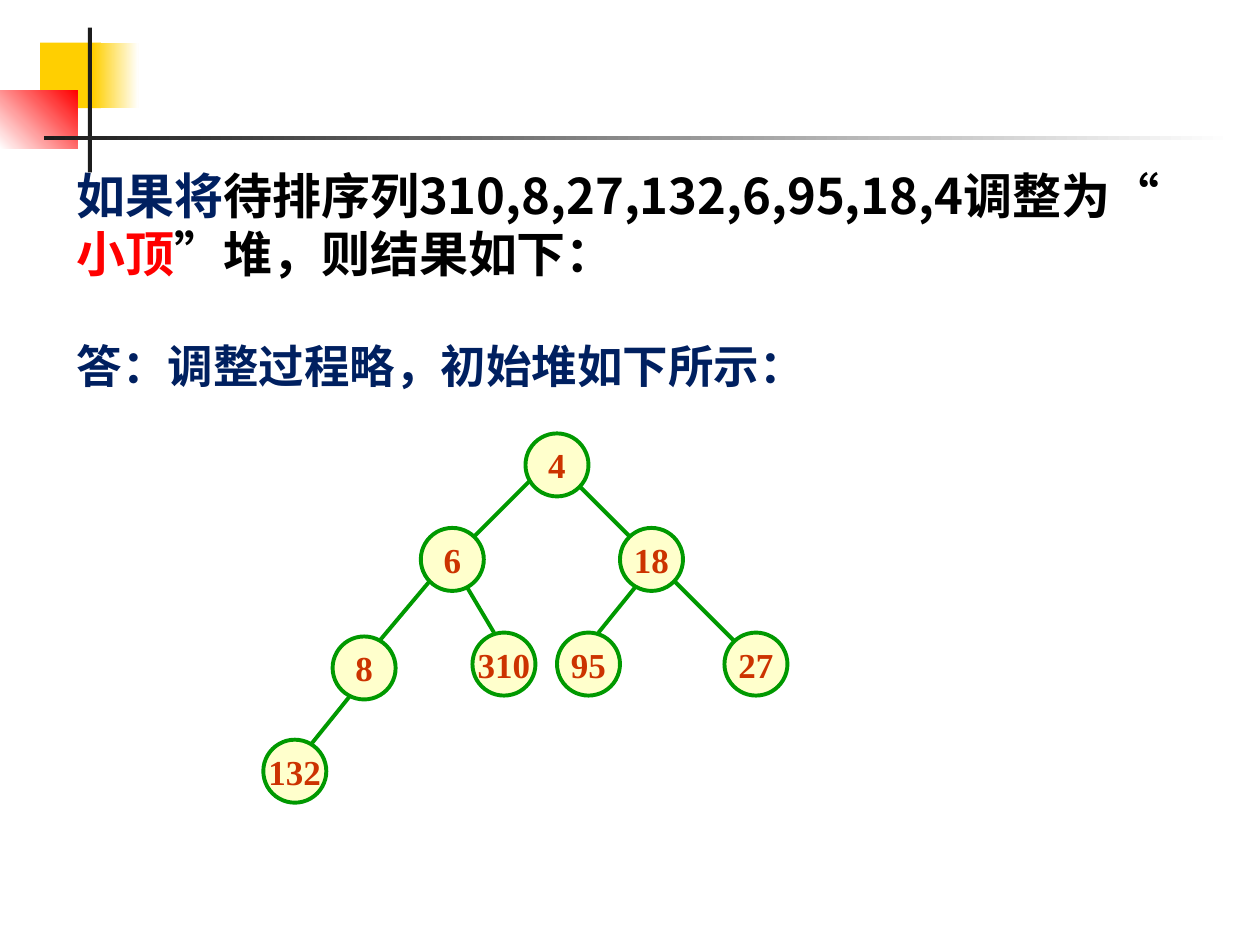
from lxml.etree import SubElement
from pptx import Presentation
from pptx.dml.color import RGBColor
from pptx.enum.shapes import MSO_CONNECTOR, MSO_SHAPE
from pptx.enum.text import MSO_ANCHOR, PP_ALIGN
from pptx.oxml.ns import qn
from pptx.util import Pt

WHITE = RGBColor(0xFF, 0xFF, 0xFF)
BLACK = RGBColor(0, 0, 0)
YELLOW = RGBColor(0xFF, 0xCF, 0x01)
RED = RGBColor(0xFF, 0, 0)
CHARCOAL = RGBColor(0x1C, 0x1C, 0x1C)
NAVY = RGBColor(0x00, 0x20, 0x60)
GREEN = RGBColor(0x00, 0x99, 0x00)
CREAM = RGBColor(0xFF, 0xFF, 0xCC)
RUST = RGBColor(0xCC, 0x33, 0x00)

CJK_FONT = "Noto Sans CJK SC"
NUMBER_FONT = "Times New Roman"
NODE_SIZE = 36
EDGE_WIDTH = 2.25

# Left and top of each node, relative to the heap's box
HEAP_NODES = {
    "4": (149.8, 0),
    "6": (90, 54), "18": (203.8, 54),
    "8": (39.6, 116), "310": (119.5, 113.8), "95": (167.8, 113.8), "27": (263.5, 113.8),
    "132": (0, 175),
}
# Parent end and child end of each edge, relative to the heap's box
HEAP_EDGES = [
    ((155.5, 23.8), (113.8, 65.5)),
    ((180, 29.5), (216, 65.5)),
    ((95.8, 83.5), (65.5, 119.5)),
    ((113.8, 83.5), (131.8, 113.8)),
    ((216, 83.5), (191.5, 113.8)),
    ((234, 83.5), (288, 137.5)),
    ((49.7, 149.8), (25.9, 179.3)),
]


def add_text(paragraph, text, *, size, color, font=CJK_FONT, bold=True):
    run = paragraph.add_run()
    run.text = text
    run.font.size = Pt(size)
    run.font.bold = bold
    run.font.name = font
    run.font.color.rgb = color
    SubElement(run.font._element, qn("a:ea")).set("typeface", font)


def add_bar(slide, left, top, width, height, start, end=None, angle=0):
    """Rectangle without outline, shaded from start to end when end is given."""
    bar = slide.shapes.add_shape(MSO_SHAPE.RECTANGLE, Pt(left), Pt(top), Pt(width), Pt(height))
    bar.shadow.inherit = False
    bar.line.fill.background()
    if end is None:
        bar.fill.solid()
        bar.fill.fore_color.rgb = start
        return
    bar.fill.gradient()
    bar.fill.gradient_angle = angle
    for stop, color in zip(bar.fill.gradient_stops, (start, end)):
        stop.color.rgb = color


def add_ornament(slide, left, top):
    add_bar(slide, left + 23, top + 8.6, 34.6, 37.4, YELLOW)
    add_bar(slide, left + 53.3, top + 8.6, 25.9, 37.4, YELLOW, WHITE)
    add_bar(slide, left, top + 36, 44.4, 33.4, WHITE, RED, angle=45)
    add_bar(slide, left + 50.2, top, 2.3, 82.8, CHARCOAL)
    add_bar(slide, left + 25.2, top + 62, 679.7, 2.4, CHARCOAL, WHITE)


def add_passage(slide, left, top, width, height, lines, size):
    """Justified text box; each line is a list of (text, color) pieces."""
    frame = slide.shapes.add_textbox(Pt(left), Pt(top), Pt(width), Pt(height)).text_frame
    frame.word_wrap = True
    for index, pieces in enumerate(lines):
        paragraph = frame.add_paragraph() if index else frame.paragraphs[0]
        paragraph.alignment = PP_ALIGN.JUSTIFY
        paragraph.line_spacing = 0.9
        paragraph.space_before = Pt(3 if index else 0)
        properties = paragraph._p.get_or_add_pPr()
        properties.set("marL", str(Pt(27)))
        properties.set("indent", str(Pt(-27)))
        for text, color in pieces:
            add_text(paragraph, text, size=size, color=color)


def add_edge(heap, start, end):
    edge = heap.shapes.add_connector(MSO_CONNECTOR.STRAIGHT, *map(Pt, start + end))
    edge.line.color.rgb = GREEN
    edge.line.width = Pt(EDGE_WIDTH)
    SubElement(edge._element.spPr, qn("a:effectLst"))


def add_node(heap, left, top, key):
    node = heap.shapes.add_shape(
        MSO_SHAPE.OVAL, Pt(left), Pt(top), Pt(NODE_SIZE), Pt(NODE_SIZE))
    node.shadow.inherit = False
    node.fill.solid()
    node.fill.fore_color.rgb = CREAM
    node.line.color.rgb = GREEN
    node.line.width = Pt(EDGE_WIDTH)
    frame = node.text_frame
    frame.word_wrap = False
    frame.vertical_anchor = MSO_ANCHOR.MIDDLE
    frame.paragraphs[0].alignment = PP_ALIGN.CENTER
    add_text(frame.paragraphs[0], key, size=20, color=RUST, font=NUMBER_FONT)


def add_heap(slide, left, top):
    heap = slide.shapes.add_group_shape()
    for (x1, y1), (x2, y2) in HEAP_EDGES:
        add_edge(heap, (left + x1, top + y1), (left + x2, top + y2))
    for key, (x, y) in HEAP_NODES.items():
        add_node(heap, left + x, top + y, key)


def main():
    presentation = Presentation()
    presentation.slide_width, presentation.slide_height = Pt(720), Pt(540)
    slide = presentation.slides.add_slide(presentation.slide_layouts[6])
    add_ornament(slide, 0, 15.8)
    question = [
        [("如果将", NAVY), ("待排序列310,8,27,132,6,95,18,4调整为“", BLACK)],
        [("小顶", RED), ("”堆，则结果如下：", BLACK)],
    ]
    add_passage(slide, 36.7, 95, 657.4, 123.8, question, size=28)
    answer = [[("答：调整过程略，初始堆如下所示：", NAVY)]]
    add_passage(slide, 36.7, 193, 677.5, 46, answer, size=26)
    add_heap(slide, 150.5, 247.7)
    presentation.save("out.pptx")


if __name__ == "__main__":
    main()
